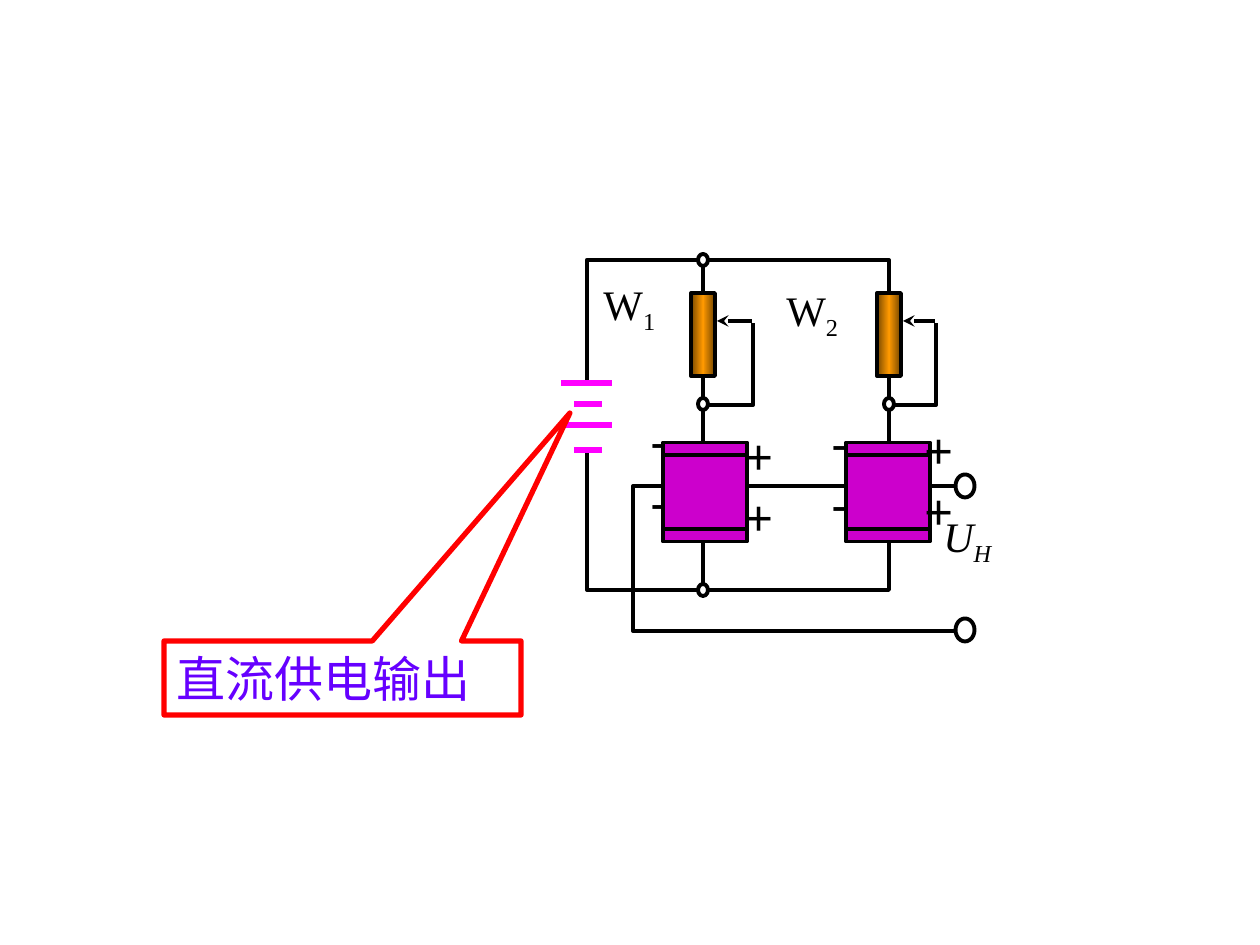
import copy

import pptx
import pptx.util
import pptx.dml.color
import pptx.enum.shapes
import pptx.enum.text
import pptx.oxml.ns

SCALE = 914400 / 126  # EMU in one px
COLORS = {
    "wire": "000000", "paper": "FFFFFF", "cell": "FF00FF", "plate": "CC00CC",
    "edge": "764700", "core": "FF9900", "note": "FF0000", "word": "6600FF",
}
KIND = pptx.enum.shapes.MSO_SHAPE
qn = pptx.oxml.ns.qn


def emu(*px):
    return [pptx.util.Emu(round(n * SCALE)) for n in px]


def rgb(name):
    return pptx.dml.color.RGBColor.from_string(COLORS[name])


def ink(shape, color="wire", width=2.25):
    shape.line.color.rgb = rgb(color)
    shape.line.width = pptx.util.Pt(width)


def fill(shape, color):
    if color:
        shape.fill.solid()
        shape.fill.fore_color.rgb = rgb(color)
    else:
        shape.fill.background()


def block(shapes, kind, box, color=None):
    shape = shapes.add_shape(kind, *emu(*box))
    shape.shadow.inherit = False
    fill(shape, color)
    ink(shape)
    return shape


def line(shapes, start, end, color="wire", width=2.25, arrow=False):
    straight = pptx.enum.shapes.MSO_CONNECTOR.STRAIGHT
    wire = shapes.add_connector(straight, *emu(*start, *end))
    ink(wire, color, width)
    if arrow:
        tail = wire.line._get_or_add_ln().makeelement(qn("a:tailEnd"), {"type": "stealth"})
        wire.line._get_or_add_ln().append(tail)
    props = wire._element.spPr
    props.append(props.makeelement(qn("a:effectLst"), {}))


def path(shapes, start, *points):
    """Draw an open wire through the points."""
    pen = shapes.build_freeform(*start, scale=SCALE)
    pen.add_line_segments(points, close=False)
    wire = pen.convert_to_shape()
    wire.shadow.inherit = False
    fill(wire, None)
    ink(wire)


def ring(shapes, x, y, w=10, h=12):
    """Draw a node or terminal centred on x, y."""
    block(shapes, KIND.OVAL, (x - w / 2, y - h / 2, w, h), "paper")


def style(run, face, size, color="wire"):
    run.font.name = face
    run.font.size = pptx.util.Pt(size)
    run.font.color.rgb = rgb(color)


def label(shapes, box, base, sub, italic=False):
    frame = shapes.add_textbox(*emu(*box)).text_frame
    frame.word_wrap = True
    para = frame.paragraphs[0]
    para.alignment = pptx.enum.text.PP_ALIGN.JUSTIFY
    for text in (base, sub):
        run = para.add_run()
        run.text = text
        style(run, "Times New Roman", 24)
        run.font.italic = italic or None
    run.font._element.set("baseline", "-25000")


def signs(shapes, x, y, sign):
    """Stack two polarity signs."""
    frame = shapes.add_textbox(*emu(x, y, 32, 131)).text_frame
    frame.word_wrap = True
    frame.text = f"{sign}\n{sign}"
    for para in frame.paragraphs:
        para.line_spacing = 1.05
        style(para.runs[0], "Arial", 28)


def shade(shape):
    """Fill from edge to core and back to edge."""
    shape.fill.gradient()
    shape.fill.gradient_angle = 0
    stops = shape._element.spPr.find(qn("a:gradFill")).find(qn("a:gsLst"))
    stops.append(copy.deepcopy(stops[0]))
    looks = ((0, "edge"), (0.5, "core"), (1, "edge"))
    for stop, (place, color) in zip(shape.fill.gradient_stops, looks):
        stop.position = place
        stop.color.rgb = rgb(color)


def branch(shapes, x, y, reach, shift):
    """Hang a trimmer and a Hall plate from x, y; reach is the wiper's loop."""
    wide, high = 99, 84
    plate = block(shapes, KIND.FLOWCHART_PREDEFINED_PROCESS,
                  (x + shift - wide / 2, y + 232 - high / 2, wide, high), "plate")
    plate.rotation = 270
    shade(block(shapes, KIND.RECTANGLE, (x - 12, y + 33, 24, 83)))
    path(shapes, (x + 4, y + 145), (x + reach, y + 145), (x + reach, y + 63))
    line(shapes, (x + reach - 1, y + 61), (x + 14, y + 61), arrow=True)
    ring(shapes, x, y + 144)


def battery(shapes, x, y):
    """Centre the cells on x, with the first bar at y."""
    gap = block(shapes, KIND.RECTANGLE, (x - 34, y + 14, 67, 40), "paper")
    gap.rotation = 90
    gap.line.fill.background()
    for drop, left, right in ((0, -26, 25), (42, -26, 25), (21, -13, 15), (67, -13, 15)):
        line(shapes, (x + right, y + drop), (x + left, y + drop), "cell", 3)


def circuit(shapes, x, y, w, h):
    mid, far = x + 116, x + w
    label(shapes, (x + 4, y + 12, 118, 144), "W", "1")
    label(shapes, (x + 187, y + 18, 139, 139), "W", "2")
    label(shapes, (x + 344, y + 244, 116, 132), "U", "H", italic=True)
    high, low, end = y + 226, y + 371, x + 378
    path(shapes, (end - 6, high), (x + 46, high), (x + 46, low), (end - 6, low))
    block(shapes, KIND.RECTANGLE, (x, y, w, h))
    branch(shapes, far, y, 47, -1)
    line(shapes, (mid, y), (mid, y + h))
    branch(shapes, mid, y, 50, 2)
    battery(shapes, x, y + 123)
    for spot in (high, low - 1):
        ring(shapes, end, spot, 19, 23)
    for spot in (y, y + h):
        ring(shapes, mid, spot)
    for left, top, sign in ((325, 150, "+"), (145, 156, "+"), (232, 143, "-"), (51, 141, "-")):
        signs(shapes, x + left, y + top, sign)


def callout(shapes, box, text):
    note = block(shapes, KIND.RECTANGULAR_CALLOUT, box)
    ink(note, "note", 3)
    note.adjustments[0], note.adjustments[1] = 0.637, -3.58
    frame = note.text_frame
    frame.text = text
    frame.word_wrap = True
    frame.vertical_anchor = pptx.enum.text.MSO_ANCHOR.MIDDLE
    frame.paragraphs[0].alignment = pptx.enum.text.PP_ALIGN.LEFT
    style(frame.paragraphs[0].runs[0], "Arial", 28, "word")


def main():
    deck = pptx.Presentation()
    deck.slide_width, deck.slide_height = emu(1260, 945)
    shapes = deck.slides.add_slide(deck.slide_layouts[6]).shapes
    circuit(shapes, 587, 260, 302, 330)
    callout(shapes, (164, 641, 357, 74), "直流供电输出")
    deck.save("out.pptx")


if __name__ == "__main__":
    main()
